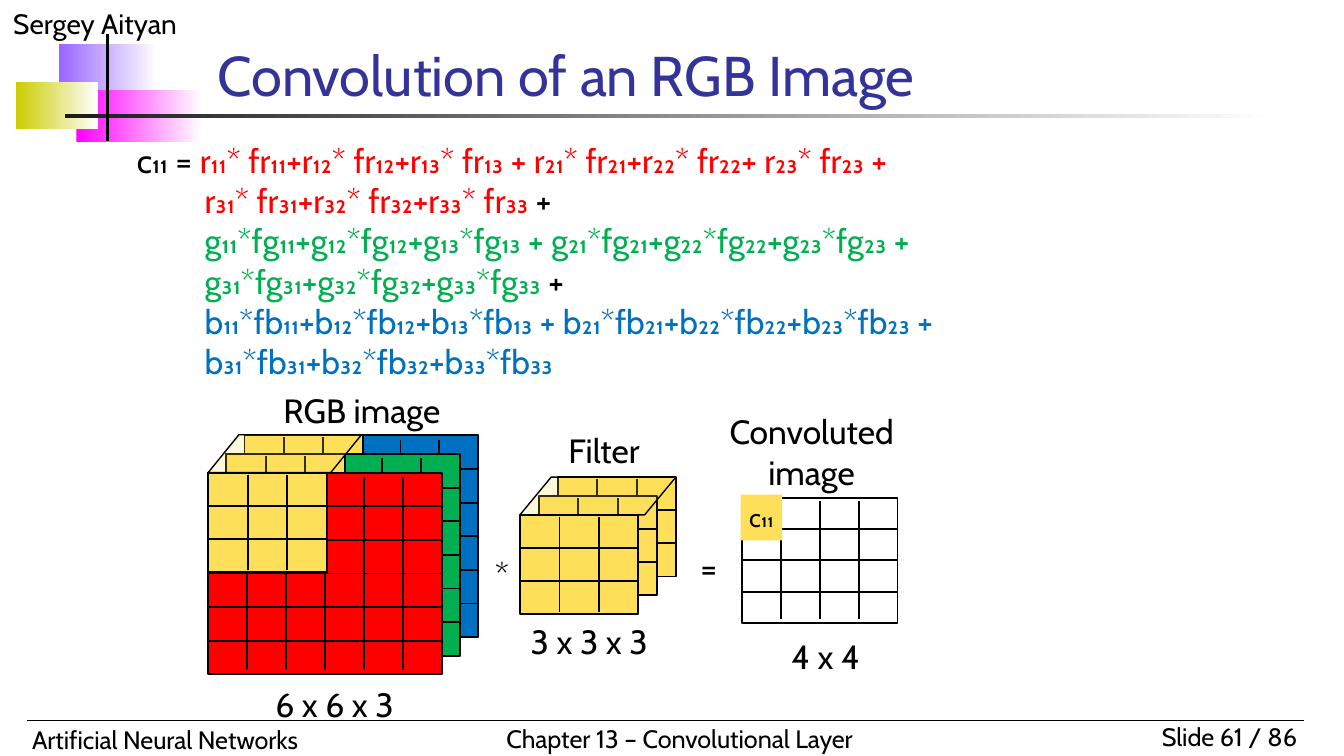
from lxml.etree import SubElement
from pptx import Presentation
from pptx.dml.color import RGBColor
from pptx.enum.shapes import MSO_CONNECTOR as Link, MSO_SHAPE as Preset
from pptx.enum.text import MSO_ANCHOR as Anchor, MSO_AUTO_SIZE as AutoSize, PP_ALIGN as Align
from pptx.oxml.ns import qn
from pptx.util import Pt

BLACK, RED, GREEN, BLUE = "000000", "FF0000", "00B050", "0070C0"
YELLOW = "FEDF59"


def color(value):
    return RGBColor.from_string(value)


class SlideBuilder:
    font = "Cabin"

    def __init__(self, deck):
        self.page = deck.slides.add_slide(deck.slide_layouts[5])

    def style(self, span, size, ink):
        span.font.name = self.font
        span.font.size = Pt(size)
        span.font.color.rgb = color(ink)

    def fill_text(self, frame, text, size, ink=BLACK, align=Align.LEFT, anchor=Anchor.TOP):
        frame.word_wrap = True
        frame.auto_size = AutoSize.NONE
        frame.vertical_anchor = anchor
        frame.text = text
        para = frame.paragraphs[0]
        para.alignment = align
        self.style(para.runs[0], size, ink)

    def title(self, text, left, top, width, height):
        box = self.page.shapes.title
        box.left, box.top, box.width, box.height = Pt(left), Pt(top), Pt(width), Pt(height)
        self.fill_text(box.text_frame, text, 30, "333399", anchor=Anchor.BOTTOM)

    def text_box(self, left, top, width, height):
        return self.page.shapes.add_textbox(Pt(left), Pt(top), Pt(width), Pt(height))

    def label(self, text, left, top, width, height, size=18, align=Align.LEFT, inset=True):
        frame = self.text_box(left, top, width, height).text_frame
        if not inset:
            frame.margin_left = frame.margin_right = 0
            frame.margin_top = frame.margin_bottom = 0
        self.fill_text(frame, text, size, align=align)

    def formula(self, rows, left, top, width, height, indent):
        frame = self.text_box(left, top, width, height).text_frame
        frame.word_wrap = True
        for index, row in enumerate(rows):
            para = frame.add_paragraph() if index else frame.paragraphs[0]
            if index:
                para._p.get_or_add_pPr().set("marL", str(Pt(indent)))
            for text, ink in row:
                span = para.add_run()
                span.text = text
                self.style(span, 18, ink)

    def shape(self, left, top, width, height, fill=None, line=None, preset=Preset.RECTANGLE):
        shape = self.page.shapes.add_shape(preset, Pt(left), Pt(top), Pt(width), Pt(height))
        shape.shadow.inherit = False
        if fill:
            shape.fill.solid()
            shape.fill.fore_color.rgb = color(fill)
        else:
            shape.fill.background()
        if line:
            shape.line.color.rgb = color(BLACK)
            shape.line.width = Pt(line)
        else:
            shape.line.fill.background()
        return shape

    def fade(self, left, top, width, height, start):
        shape = self.shape(left, top, width, height)
        shape.fill.gradient()
        shape.fill.gradient_angle = 0
        for stop, value in zip(shape.fill.gradient_stops, (start, "FFFFFF")):
            stop.color.rgb = color(value)

    def line(self, x1, y1, x2, y2, width=1):
        line = self.page.shapes.add_connector(Link.STRAIGHT, Pt(x1), Pt(y1), Pt(x2), Pt(y2))
        line.line.color.rgb = color(BLACK)
        line.line.width = Pt(width)
        SubElement(line._element.spPr, qn("a:effectLst"))
        return line

    def grid(self, left, top, width, height, columns, rows, fill=None, inset=1):
        panel = self.shape(left, top, width, height, fill, 1)
        for row in range(1, rows):
            y = top + height * row / rows
            divider = self.line(left, y, left + width, y)
            if row * 2 == rows:
                divider.begin_connect(panel, 1)
                divider.end_connect(panel, 3)
        for column in range(1, columns):
            x = left + width * column / columns
            self.line(x, top + inset, x, top + height - inset)

    def lid(self, left, top, width, height):
        lid = self.shape(left, top, width, height, YELLOW, 0.75, Preset.FLOWCHART_DATA)
        tint = lid._element.spPr.find(".//" + qn("a:srgbClr"))
        SubElement(tint, qn("a:alpha")).set("val", "20000")

    def tag(self, text, left, top, width, height, fill):
        frame = self.shape(left, top, width, height, fill).text_frame
        frame.margin_left = frame.margin_right = 0
        self.fill_text(frame, text, 14, align=Align.CENTER)


def main():
    deck = Presentation()
    deck.slide_width, deck.slide_height = Pt(720), Pt(405)
    slide = SlideBuilder(deck)

    slide.fade(31.7, 23.8, 52.6, 28.1, "9966FF")
    slide.fade(41, 48.2, 67, 28.1, "FF00FF")
    slide.fade(8.6, 43.9, 43.9, 25.2, "CCCC00")
    slide.fade(34.6, 61.2, 648, 1.8, "1C1C1C")
    slide.label("Sergey Aityan", 0, 0, 180, 25.2, 15)
    slide.label("Slide 61 / 86", 594, 383, 108, 23.8, 13.5, Align.RIGHT)
    slide.label("Artificial Neural Networks", 10.1, 384.5, 266.4, 23.8, 13.5)
    slide.label("Chapter 13 – Convolutional Layer", 264.2, 383.8, 215.3, 23.8, 13.5)
    slide.line(14.4, 385.9, 698.4, 385.9, 0.75)
    slide.line(57.6, 18, 57.6, 75.6, 2)
    slide.title("Convolution of an RGB Image", 109.4, 22.3, 529.2, 38.9)

    patch_width, patch_height = 63.4, 53.3

    for layer in range(3):
        slide.grid(298.8 - 10.1 * layer, 255.6 + 10.1 * layer,
                   patch_width, patch_height, 3, 3, YELLOW)
    slide.lid(278.6, 255.6, 83.5, 20.2)
    slide.label("Filter", 297.4, 226.8, 59.8, 28.8)
    slide.label("3 x 3 x 3", 277.2, 329, 85, 28.8)

    for layer, (fill, patch_rows) in enumerate([(BLUE, 1), (GREEN, 1), (RED, 3)]):
        left, top = 131 - 9.7 * layer, 233.3 + 10 * layer
        slide.grid(left, top, 125.3, 108, 6, 6, fill, 2.2)
        slide.grid(left, top, patch_width, patch_height, 3, patch_rows, YELLOW)
    slide.lid(111.6, 232.9, 82.1, 20.2)
    slide.label("6 x 6 x 3", 140.4, 362.9, 95.8, 28.8)
    slide.label("RGB image", 144.7, 205.2, 103.7, 28.8)

    slide.grid(397.4, 266.7, 83.5, 67, 4, 4, inset=1.8)
    slide.label("4 x 4", 416.9, 337, 64.1, 28.8)
    slide.label("Convoluted image", 383, 216.7, 103.7, 51.1, align=Align.CENTER)
    slide.label("*", 257.8, 296.6, 22.3, 15.1, align=Align.CENTER, inset=False)
    slide.label("=", 368.6, 293, 22.3, 15.1, align=Align.CENTER, inset=False)
    slide.tag("c₁₁", 396.7, 265, 22.3, 24.5, YELLOW)

    slide.formula([
        [("c₁₁ = ", BLACK),
         ("r₁₁* fr₁₁+r₁₂* fr₁₂+r₁₃* fr₁₃ + r₂₁* fr₂₁+r₂₂* fr₂₂+ r₂₃* fr₂₃ +", RED)],
        [("r₃₁* fr₃₁+r₃₂* fr₃₂+r₃₃* fr₃₃ ", RED), ("+", BLACK)],
        [("g₁₁*fg₁₁+g₁₂*fg₁₂+g₁₃*fg₁₃ + g₂₁*fg₂₁+g₂₂*fg₂₂+g₂₃*fg₂₃ +", GREEN)],
        [("g₃₁*fg₃₁+g₃₂*fg₃₂+g₃₃*fg₃₃", GREEN), (" +", BLACK)],
        [("b₁₁*fb₁₁+b₁₂*fb₁₂+b₁₃*fb₁₃ + b₂₁*fb₂₁+b₂₂*fb₂₂+b₂₃*fb₂₃ +", BLUE)],
        [("b₃₁*fb₃₁+b₃₂*fb₃₂+b₃₃*fb₃₃", BLUE)],
    ], 66.2, 71.3, 702, 138.2, 36.4)

    deck.save("out.pptx")


if __name__ == "__main__":
    main()
